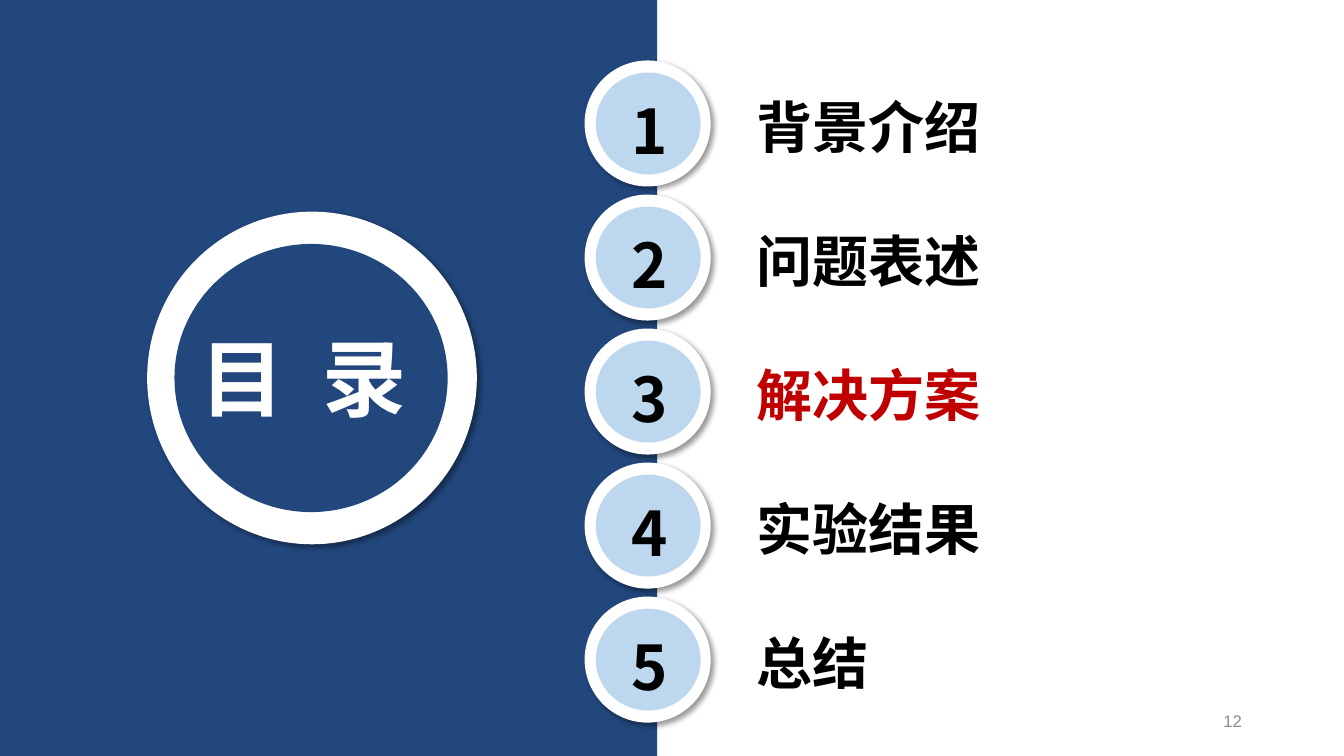
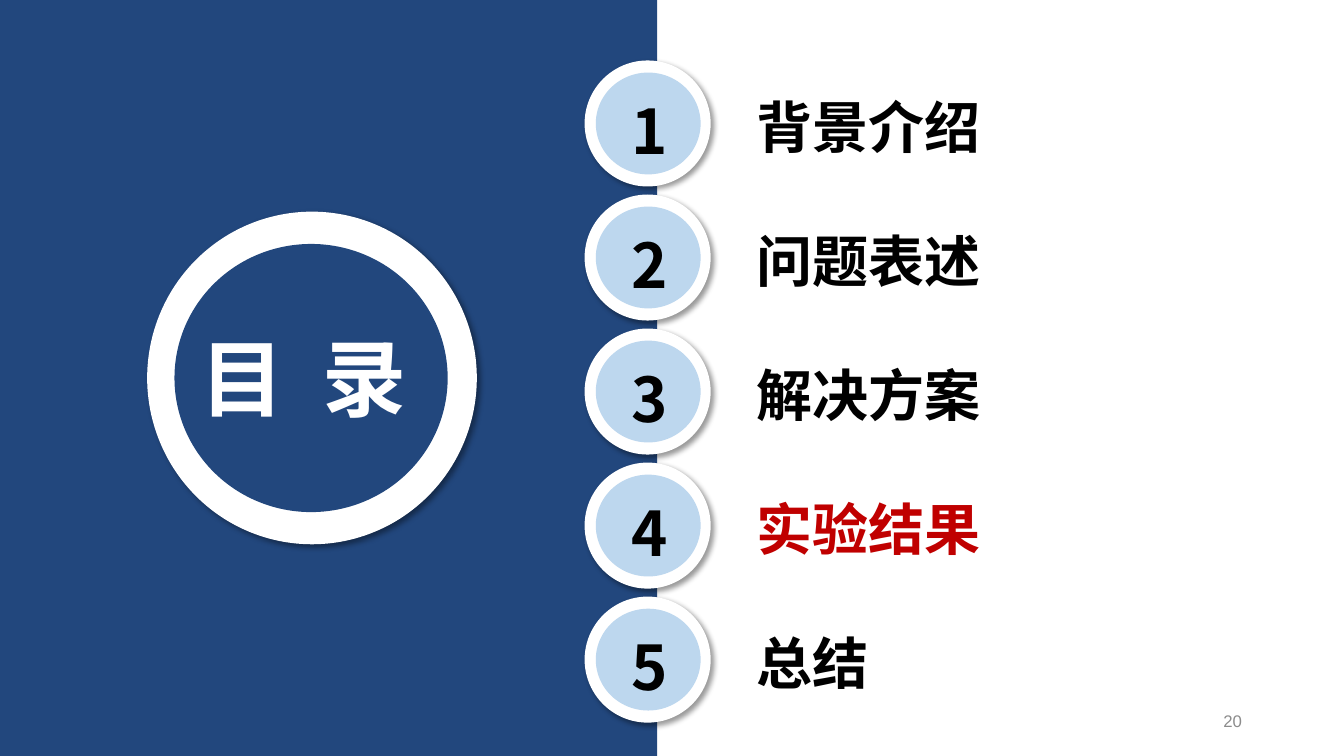
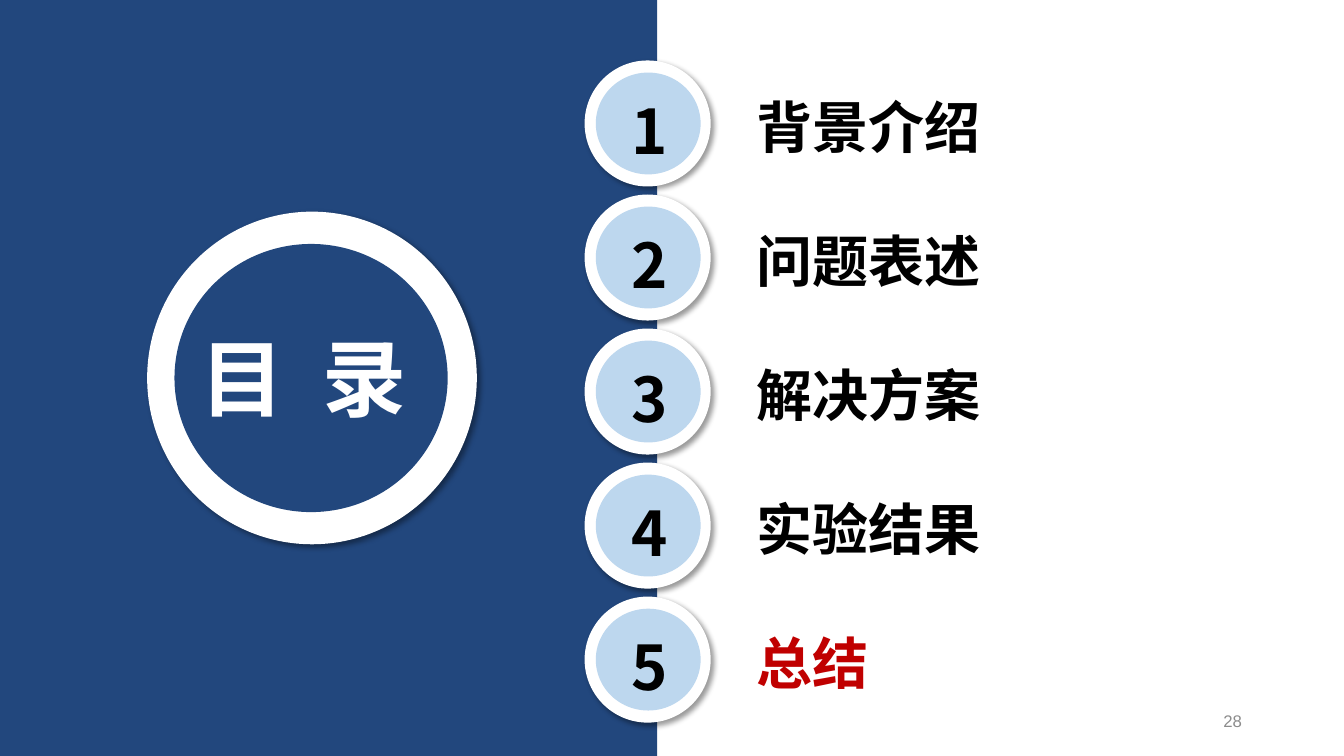
from pptx import Presentation
from pptx.dml.color import RGBColor
from pptx.enum.shapes import MSO_SHAPE as SHAPE
from pptx.enum.text import MSO_ANCHOR as ANCHOR, PP_ALIGN as ALIGN
from pptx.oxml import parse_xml
from pptx.oxml.ns import nsdecls, qn
from pptx.util import Inches, Pt
from lxml.etree import SubElement

COLORS = {
    "navy": "22477D",
    "sky": "BDD7EE",
    "white": "FFFFFF",
    "black": "000000",
    "red": "C00000",
    "gray": "8C8C8C",
}
CJK = "Noto Sans CJK SC"
SHADOW = (
    f'<a:effectLst {nsdecls("a")}>'
    f'<a:outerShdw blurRad="{Pt(4)}" dist="{Pt(3)}" dir="2700000" algn="tl" rotWithShape="0">'
    f'<a:srgbClr val="{COLORS["black"]}"><a:alpha val="40000"/></a:srgbClr>'
    "</a:outerShdw></a:effectLst>"
)
TOPICS = ["背景介绍", "问题表述", "解决方案", "实验结果", "总结"]
AGENDAS = [(12, 3), (20, 4), (28, 5)]
FIRST_ROW, ROW_STEP = 8, 17.73


class Deck:
    """Agenda style and current slide; boxes are in percent of the slide's size."""

    def __init__(self):
        self.prs = Presentation()
        self.prs.slide_width, self.prs.slide_height = Inches(13.33), Inches(7.5)
        self.s = None

    def new_slide(self):
        """Start a blank slide."""
        self.s = self.prs.slides.add_slide(self.prs.slide_layouts[6])

    def place(self, x, y, w, h):
        """Turn percentages into slide lengths."""
        cw, rh = self.prs.slide_width / 100, self.prs.slide_height / 100
        return round(x * cw), round(y * rh), round(w * cw), round(h * rh)

    def shape(self, shapes, kind, box, color, shadow=False):
        """Add a borderless filled shape."""
        sp = shapes.add_shape(kind, *self.place(*box))
        sp.fill.solid()
        sp.fill.fore_color.rgb = RGBColor.from_string(COLORS[color])
        sp.line.fill.background()
        sp.shadow.inherit = False
        if shadow:
            effects = sp._element.spPr.find(qn("a:effectLst"))
            effects.getparent().replace(effects, parse_xml(SHADOW))

    def disc(self, shapes, outer, inner, color):
        """Add a coloured disc on a white one with a shadow."""
        self.shape(shapes, SHAPE.OVAL, outer, "white", shadow=True)
        self.shape(shapes, SHAPE.OVAL, inner, color)

    def text(self, shapes, box, text, size, color, font=CJK, bold=True,
             align=ALIGN.LEFT, anchor=ANCHOR.TOP, spacing=0):
        """Add a one-line text box."""
        tf = shapes.add_textbox(*self.place(*box)).text_frame
        tf.word_wrap = True
        tf.vertical_anchor = anchor
        tf.text = text
        p = tf.paragraphs[0]
        p.alignment = align
        r = p.runs[0]
        r.font.size, r.font.bold, r.font.name = Pt(size), bold, font
        r.font.color.rgb = RGBColor.from_string(COLORS[color])
        rPr = r.font._element
        SubElement(rPr, qn("a:ea")).set("typeface", font)
        if spacing:
            rPr.set("spc", str(round(spacing * 100)))

    def heading(self):
        """Add the navy panel and the ring with the heading."""
        self.shape(self.s.shapes, SHAPE.RECTANGLE, (0, 0, 48.9, 100), "navy")
        ring = self.s.shapes.add_group_shape().shapes
        self.disc(ring, (10.95, 28, 24.53, 44), (12.98, 32.27, 20.33, 35.47), "navy")
        self.text(self.s.shapes, (14.18, 42.53, 19, 14.8), "目 录", 60, "white", spacing=6.7)

    def page_number(self, number):
        """Add the page number at the bottom right."""
        self.text(self.s.shapes, (70.65, 92.67, 22.5, 5.33), str(number), 12, "gray",
                  font="Arial", bold=False, align=ALIGN.RIGHT, anchor=ANCHOR.MIDDLE)

    def topic(self, number, label, current):
        """Add a numbered agenda entry, red when it is the current one."""
        y = FIRST_ROW + (number - 1) * ROW_STEP
        entry = self.s.shapes.add_group_shape().shapes
        self.disc(entry, (43.5, y, 9.38, 16.67), (44.33, y + 1.6, 7.8, 13.47), "sky")
        self.text(entry, (46.28, y + 3.6, 5.63, 14.53), str(number), 44, "black")
        self.text(entry, (55.58, y + 3.6, 18.6, 10.27), label, 40,
                  "red" if current else "black")

    def agenda(self, page, current):
        """Add an agenda slide with one topic marked."""
        self.new_slide()
        self.heading()
        self.page_number(page)
        for number, label in enumerate(TOPICS, 1):
            self.topic(number, label, number == current)


def main():
    """Build and save the agenda slides."""
    deck = Deck()
    for page, current in AGENDAS:
        deck.agenda(page, current)
    deck.prs.save("out.pptx")


if __name__ == "__main__":
    main()
